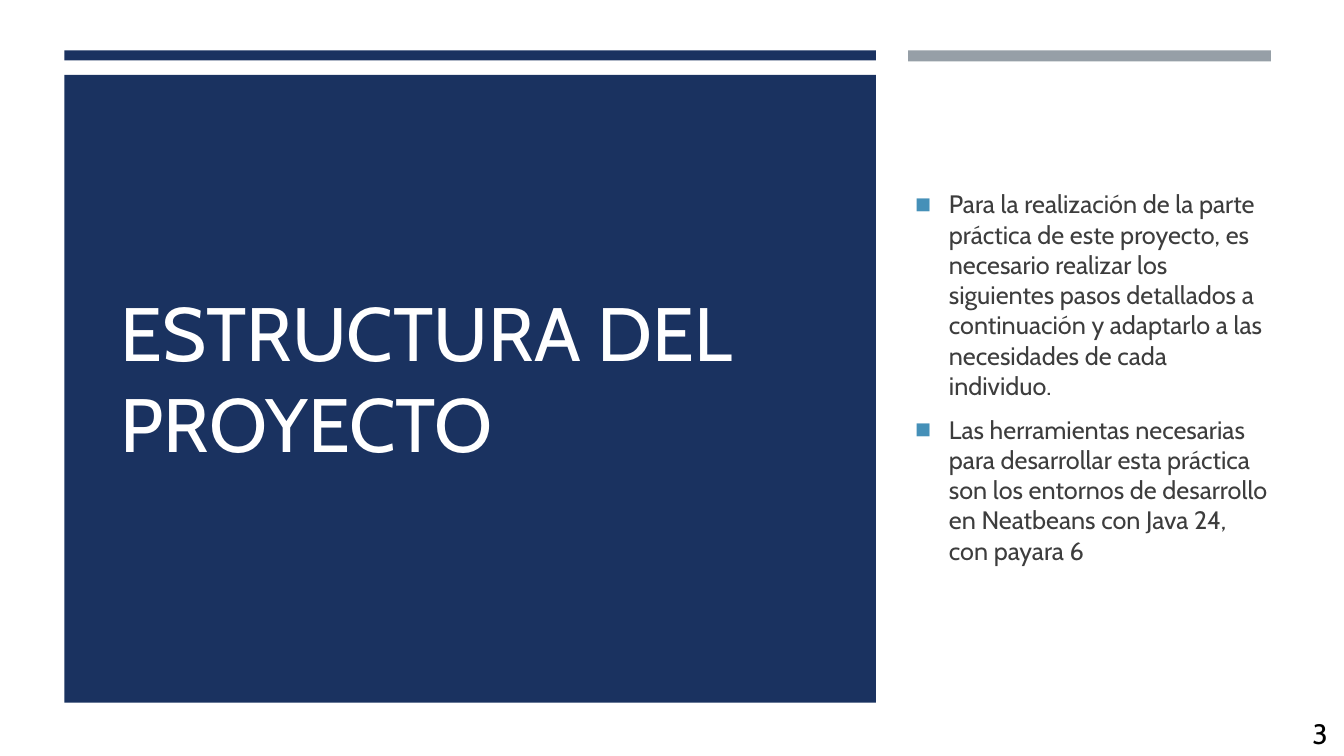
from lxml.etree import SubElement
from pptx import Presentation
from pptx.dml.color import RGBColor
from pptx.enum.shapes import MSO_SHAPE
from pptx.enum.text import MSO_ANCHOR, MSO_AUTO_SIZE, PP_ALIGN
from pptx.oxml.ns import qn
from pptx.util import Pt

STEPS = [
    "Para la realización de la parte práctica de este proyecto, es necesario "
    "realizar los siguientes pasos detallados a continuación y adaptarlo a las "
    "necesidades de cada individuo.",
    "Las herramientas necesarias para desarrollar esta práctica son los entornos "
    "de desarrollo en Neatbeans con Java 24, con payara 6",
]


def color(code):
    return RGBColor.from_string(code)


def write(para, text, size=18, ink="3D3D3D", font="Cabin", gap=0):
    para.alignment = PP_ALIGN.LEFT
    para.space_before = Pt(gap)
    run = para.add_run()
    run.text = text
    run.font.name = font
    run.font.size = Pt(size)
    run.font.color.rgb = color(ink)


class Deck:
    navy, gray, blue, white = "1A3260", "969FA7", "4590B8", "FFFFFF"

    def __init__(self, wide, high):
        self.file = Presentation()
        self.file.slide_width, self.file.slide_height = Pt(wide), Pt(high)
        self.slide = self.file.slides.add_slide(self.file.slide_layouts[1])
        back = self.slide.background.fill
        back.solid()
        back.fore_color.rgb = color(self.white)

    def block(self, left, top, wide, high, fill):
        shape = self.slide.shapes.add_shape(
            MSO_SHAPE.RECTANGLE, Pt(left), Pt(top), Pt(wide), Pt(high))
        shape.shadow.inherit = False
        shape.fill.solid()
        shape.fill.fore_color.rgb = color(fill)
        shape.line.fill.background()

    def place(self, holder, left, top, wide, high):
        """Move a placeholder in front of the blocks and return its text frame."""
        holder.left, holder.top = Pt(left), Pt(top)
        holder.width, holder.height = Pt(wide), Pt(high)
        self.slide.shapes._spTree.append(holder._element)
        frame = holder.text_frame
        frame.auto_size = MSO_AUTO_SIZE.NONE
        frame.vertical_anchor = MSO_ANCHOR.MIDDLE
        frame.word_wrap = True
        return frame

    def title(self, text, *area):
        frame = self.place(self.slide.shapes.title, *area)
        write(frame.paragraphs[0], text, size=54, ink=self.white)

    def items(self, texts, *area):
        frame = self.place(self.slide.placeholders[1], *area)
        for rank, text in enumerate(texts):
            para = frame.add_paragraph() if rank else frame.paragraphs[0]
            self.mark(para)
            write(para, text, gap=9.6 if rank else 0)

    def mark(self, para, indent=24):
        """Give a paragraph a square bullet with a hanging indent."""
        props = para._p.get_or_add_pPr()
        props.set("marL", str(Pt(indent)))
        props.set("indent", str(-Pt(indent)))
        tint = SubElement(props, qn("a:buClr"))
        SubElement(tint, qn("a:srgbClr"), val=self.blue)
        SubElement(props, qn("a:buChar"), char="◼")

    def label(self, text, left, top, wide, high, **style):
        box = self.slide.shapes.add_textbox(Pt(left), Pt(top), Pt(wide), Pt(high))
        box.text_frame.auto_size = MSO_AUTO_SIZE.SHAPE_TO_FIT_TEXT
        box.text_frame.word_wrap = True
        write(box.text_frame.paragraphs[0], text, **style)


def main():
    deck = Deck(960, 540)
    deck.block(46, 36, 579.6, 7.2, deck.navy)
    deck.block(648.7, 36, 259.2, 7.9, deck.gray)
    deck.block(46, 53.5, 579.6, 448.5, deck.navy)
    deck.title("ESTRUCTURA DEL PROYECTO", 78.7, 90.7, 518.4, 357.1)
    deck.items(STEPS, 646.6, 90.7, 267.8, 357.1)
    deck.label("3", 930.4, 508.5, 29.6, 31.5, size=20, ink="000000")
    deck.file.save("out.pptx")


if __name__ == "__main__":
    main()
